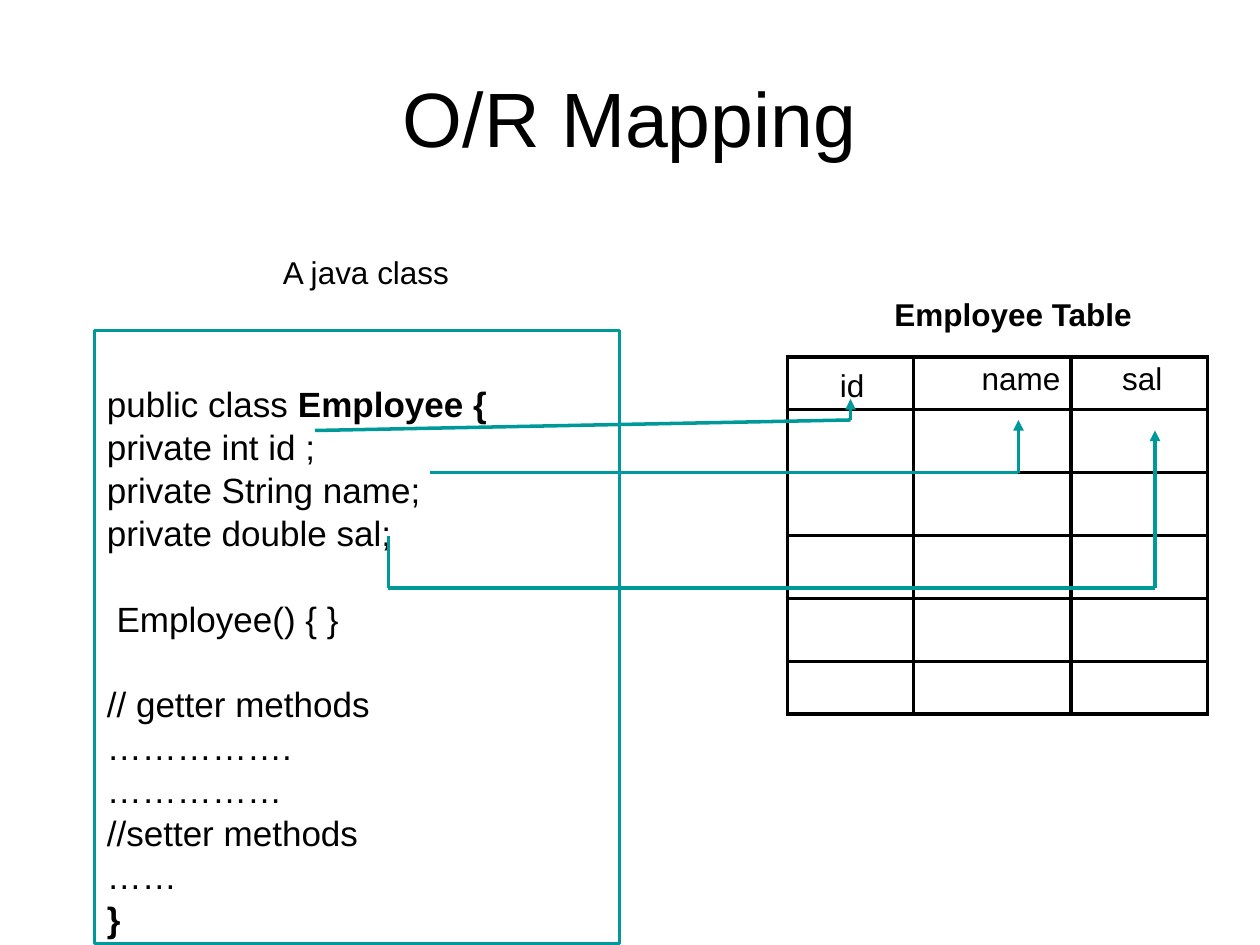
from itertools import pairwise

from lxml.etree import SubElement
from pptx import Presentation
from pptx.dml.color import RGBColor
from pptx.enum.shapes import MSO_CONNECTOR as CONNECTOR, MSO_SHAPE as SHAPE
from pptx.enum.text import MSO_ANCHOR as ANCHOR, PP_ALIGN as ALIGN
from pptx.oxml.ns import qn
from pptx.util import Emu, Pt

BLACK = RGBColor(0x00, 0x00, 0x00)
TEAL = RGBColor(0x00, 0x99, 0x99)
EMU_PER_PX = 9525

CODE_LINES = [
    ("public class ", "Employee {"),
    ("private int id ;", ""),
    ("private String name;", ""),
    ("private double sal;", ""),
    (" Employee() { }", ""),
    ("// getter methods", ""),
    ("…………….", ""),
    ("……………", ""),
    ("//setter methods", ""),
    ("……", ""),
    ("", "}"),
]
LINES_AFTER_GAP = (4, 5)
COLUMN_WIDTHS = (96, 120, 104)
ROW_HEIGHTS = (40, 48, 48, 48, 48, 40)
HEADERS = [("id", 40, 9), ("name", 52, 4), ("sal", 39, 4)]
MAPPING_ROUTES = [
    [(296, 408), (296, 448), (880, 448), (880, 328)],
    [(328, 360), (776, 360), (776, 320)],
    [(240, 328), (648, 320), (648, 304)],
]


def px(value):
    return Emu(value * EMU_PER_PX)


def add_text(paragraph, text, size=18, bold=False, align=ALIGN.LEFT, color=BLACK, font="Arial"):
    paragraph.alignment = align
    run = paragraph.add_run()
    run.text = text
    run.font.name = font
    run.font.size = Pt(size)
    run.font.bold = bold
    run.font.color.rgb = color


class SlideBuilder:
    line_width = Pt(2)
    code_size = 20
    code_pitch = 24.5

    def __init__(self, slide):
        self.slide = slide
        self.shapes = slide.shapes

    def title(self, text, left, top, width, height):
        shape = self.shapes.title
        shape.left, shape.top, shape.width, shape.height = map(px, (left, top, width, height))
        shape.text_frame.vertical_anchor = ANCHOR.MIDDLE
        add_text(shape.text_frame.paragraphs[0], text, size=44, align=ALIGN.CENTER)

    def label(self, text, left, top, width, height, bold=False):
        box = self.shapes.add_textbox(*map(px, (left, top, width, height)))
        box.text_frame.word_wrap = False
        add_text(box.text_frame.paragraphs[0], text, bold=bold)

    def code_box(self, lines, left, top, width, height):
        shape = self.shapes.add_shape(SHAPE.RECTANGLE, *map(px, (left, top, width, height)))
        shape.shadow.inherit = False
        shape.fill.background()
        shape.line.color.rgb = TEAL
        shape.line.width = self.line_width
        frame = shape.text_frame
        frame.word_wrap = True
        frame.vertical_anchor = ANCHOR.TOP
        frame.margin_top = px(39)
        for index, (plain, strong) in enumerate(lines):
            paragraph = frame.add_paragraph() if index else frame.paragraphs[0]
            paragraph.line_spacing = Pt(self.code_pitch)
            paragraph.space_before = Pt(self.code_pitch if index in LINES_AFTER_GAP else 0)
            for text, bold in ((plain, False), (strong, True)):
                if text:
                    add_text(paragraph, text, size=self.code_size, bold=bold)

    def table(self, headers, left, top):
        table = self.shapes.add_table(
            len(ROW_HEIGHTS), len(COLUMN_WIDTHS), px(left), px(top),
            px(sum(COLUMN_WIDTHS)), px(sum(ROW_HEIGHTS)),
        ).table
        table.first_row = table.horz_banding = False
        for column, width in zip(table.columns, COLUMN_WIDTHS):
            column.width = px(width)
        for row, height in zip(table.rows, ROW_HEIGHTS):
            row.height = px(height)
        for cell in table.iter_cells():
            self.cell_borders(cell)
            cell.fill.background()
        for column, (text, margin_left, margin_top) in enumerate(headers):
            cell = table.cell(0, column)
            cell.margin_left, cell.margin_top = px(margin_left), px(margin_top)
            cell.margin_right = cell.margin_bottom = 0
            add_text(cell.text_frame.paragraphs[0], text)

    def cell_borders(self, cell):
        properties = cell._tc.get_or_add_tcPr()
        for side in ("a:lnL", "a:lnR", "a:lnT", "a:lnB"):
            border = SubElement(properties, qn(side), w=str(self.line_width))
            fill = SubElement(border, qn("a:solidFill"))
            SubElement(fill, qn("a:srgbClr"), val=str(BLACK))

    def line(self, start, end, arrow=False):
        connector = self.shapes.add_connector(CONNECTOR.STRAIGHT, *map(px, start + end))
        connector.line.color.rgb = TEAL
        connector.line.width = self.line_width
        if arrow:
            SubElement(connector.line._get_or_add_ln(), qn("a:tailEnd"), type="triangle")
        SubElement(connector._element.spPr, qn("a:effectLst"))

    def route(self, points):
        for start, end in pairwise(points):
            self.line(start, end, arrow=end == points[-1])


def main():
    presentation = Presentation()
    presentation.slide_width, presentation.slide_height = px(960), px(720)
    builder = SlideBuilder(presentation.slides.add_slide(presentation.slide_layouts[5]))
    builder.title("O/R Mapping", 48, 29, 864, 120)
    builder.table(HEADERS, 600, 272)
    builder.code_box(CODE_LINES, 72, 252, 400, 467)
    builder.label("Employee Table", 672, 220, 202, 38, bold=True)
    builder.label("A java class", 206, 188, 147, 38)
    for points in MAPPING_ROUTES:
        builder.route(points)
    presentation.save("out.pptx")


if __name__ == "__main__":
    main()
